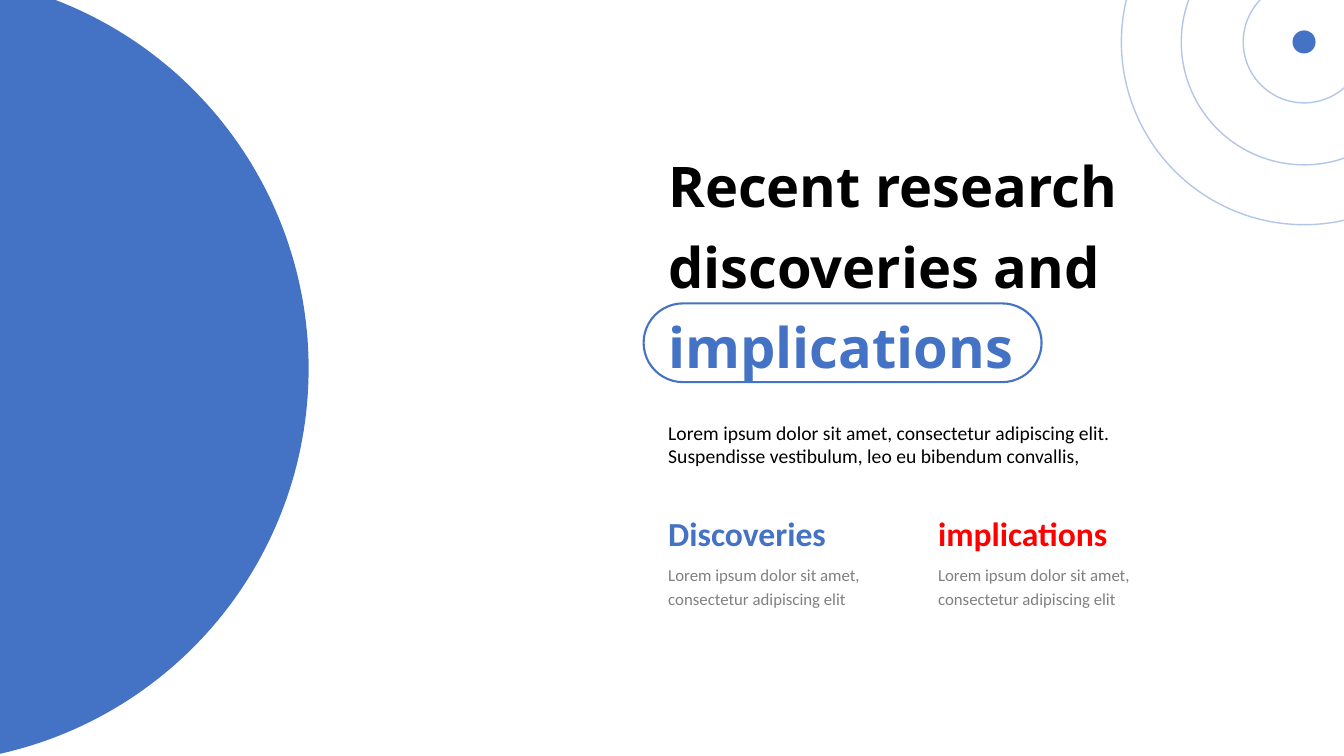
import math
from dataclasses import dataclass

import pptx
import pptx.dml.color
import pptx.enum.shapes
import pptx.enum.text
import pptx.oxml
import pptx.oxml.ns
import pptx.shapes.autoshape
import pptx.slide
import pptx.util

EMU_PER_PX = 9525
SLIDE_WIDTH, SLIDE_HEIGHT = 1280, 720


@dataclass(frozen=True)
class Theme:
    accent: str = "4472C4"
    ink: str = "000000"
    muted: str = "808080"
    alert: str = "FF0000"
    title_font: str = "Open Sans"
    body_font: str = "Calibri"
    title_size: int = 40
    heading_size: int = 24
    intro_size: int = 14
    detail_size: int = 12
    pill_line: float = 1.5
    ring_line: float = 1
    ring_opacity: int = 40


@dataclass(frozen=True)
class Box:
    left: int
    top: int
    width: int
    height: int


@dataclass(frozen=True)
class Run:
    text: str
    color: str
    size: int
    font: str = Theme.body_font
    bold: bool = False


@dataclass(frozen=True)
class Column:
    left: int
    heading: str
    color: str


THEME = Theme()
TEXT_LEFT = 627
DETAIL = "Lorem ipsum dolor sit amet, consectetur adipiscing elit"
INTRO = (
    "Lorem ipsum dolor sit amet, consectetur adipiscing elit. "
    "Suspendisse vestibulum, leo eu bibendum convallis,"
)
COLUMNS = [
    Column(TEXT_LEFT, "Discoveries", THEME.accent),
    Column(884, "implications", THEME.alert),
]
TARGET_X, TARGET_Y = 1242, 40
DOT_RADIUS = 11
RING_RADII = [58, 117, 174]
DISC_X, DISC_Y, DISC_RADIUS = -82, 351, 376
DISC_STEPS = 120


def px(length: float) -> pptx.util.Emu:
    return pptx.util.Emu(round(length * EMU_PER_PX))


def rgb(color: str) -> pptx.dml.color.RGBColor:
    return pptx.dml.color.RGBColor.from_string(color)


def paint(shape: pptx.shapes.autoshape.Shape, fill: str | None = None,
          line: str | None = None, line_width: float = 1) -> None:
    shape.shadow.inherit = False
    if fill:
        shape.fill.solid()
        shape.fill.fore_color.rgb = rgb(fill)
    else:
        shape.fill.background()
    if line:
        shape.line.color.rgb = rgb(line)
        shape.line.width = pptx.util.Pt(line_width)
    else:
        shape.line.fill.background()


def add_text(slide: pptx.slide.Slide, box: Box, runs: list[Run],
             line_spacing: float = 1.0) -> None:
    shape = slide.shapes.add_textbox(
        px(box.left), px(box.top), px(box.width), px(box.height))
    frame = shape.text_frame
    frame.word_wrap = True
    frame.auto_size = pptx.enum.text.MSO_AUTO_SIZE.SHAPE_TO_FIT_TEXT
    paragraph = frame.paragraphs[0]
    paragraph.line_spacing = line_spacing
    for item in runs:
        run = paragraph.add_run()
        run.text = item.text
        run.font.name = item.font
        run.font.size = pptx.util.Pt(item.size)
        run.font.bold = item.bold
        run.font.color.rgb = rgb(item.color)


def add_circle(slide: pptx.slide.Slide, radius: int) -> pptx.shapes.autoshape.Shape:
    return slide.shapes.add_shape(
        pptx.enum.shapes.MSO_SHAPE.OVAL,
        px(TARGET_X - radius), px(TARGET_Y - radius), px(2 * radius), px(2 * radius))


def add_ring(slide: pptx.slide.Slide, radius: int) -> None:
    ring = add_circle(slide, radius)
    paint(ring, line=THEME.accent, line_width=THEME.ring_line)
    color = ring.line._get_or_add_ln().find(".//" + pptx.oxml.ns.qn("a:srgbClr"))
    alpha = pptx.oxml.parse_xml(
        f'<a:alpha {pptx.oxml.ns.nsdecls("a")} val="{THEME.ring_opacity * 1000}"/>')
    color.append(alpha)


def add_disc(slide: pptx.slide.Slide) -> None:
    """Draw the part of the large circle that lies on the slide."""
    first = -math.asin(DISC_Y / DISC_RADIUS)
    last = math.acos(-DISC_X / DISC_RADIUS)
    angles = [first + (last - first) * step / DISC_STEPS
              for step in range(DISC_STEPS + 1)]
    points = [(px(DISC_X + DISC_RADIUS * math.cos(angle)),
               px(DISC_Y + DISC_RADIUS * math.sin(angle))) for angle in angles]
    builder = slide.shapes.build_freeform(0, 0)
    builder.add_line_segments(points, close=True)
    paint(builder.convert_to_shape(), fill=THEME.accent)


def add_title(slide: pptx.slide.Slide) -> None:
    style = (THEME.title_size, THEME.title_font, True)
    add_text(slide, Box(TEXT_LEFT, 127, 545, 237), [
        Run("Recent research discoveries and ", THEME.ink, *style),
        Run("implications", THEME.accent, *style),
    ], line_spacing=1.2)
    pill = slide.shapes.add_shape(
        pptx.enum.shapes.MSO_SHAPE.ROUNDED_RECTANGLE,
        px(613), px(289), px(379), px(75))
    pill.adjustments[0] = 0.5
    paint(pill, line=THEME.accent, line_width=THEME.pill_line)


def add_column(slide: pptx.slide.Slide, column: Column) -> None:
    add_text(slide, Box(column.left, 529, 268, 54),
             [Run(DETAIL, THEME.muted, THEME.detail_size)], line_spacing=1.2)
    add_text(slide, Box(column.left, 484, 247, 48),
             [Run(column.heading, column.color, THEME.heading_size, bold=True)])


def main() -> None:
    presentation = pptx.Presentation()
    presentation.slide_width = px(SLIDE_WIDTH)
    presentation.slide_height = px(SLIDE_HEIGHT)
    slide = presentation.slides.add_slide(presentation.slide_layouts[6])

    # Left disc
    add_disc(slide)

    # Title and introduction
    add_title(slide)
    add_text(slide, Box(TEXT_LEFT, 396, 470, 55),
             [Run(INTRO, THEME.ink, THEME.intro_size)])

    # Two columns
    for column in COLUMNS:
        add_column(slide, column)

    # Dot with rings in the corner
    paint(add_circle(slide, DOT_RADIUS), fill=THEME.accent)
    for radius in RING_RADII:
        add_ring(slide, radius)

    presentation.save("out.pptx")


if __name__ == "__main__":
    main()
